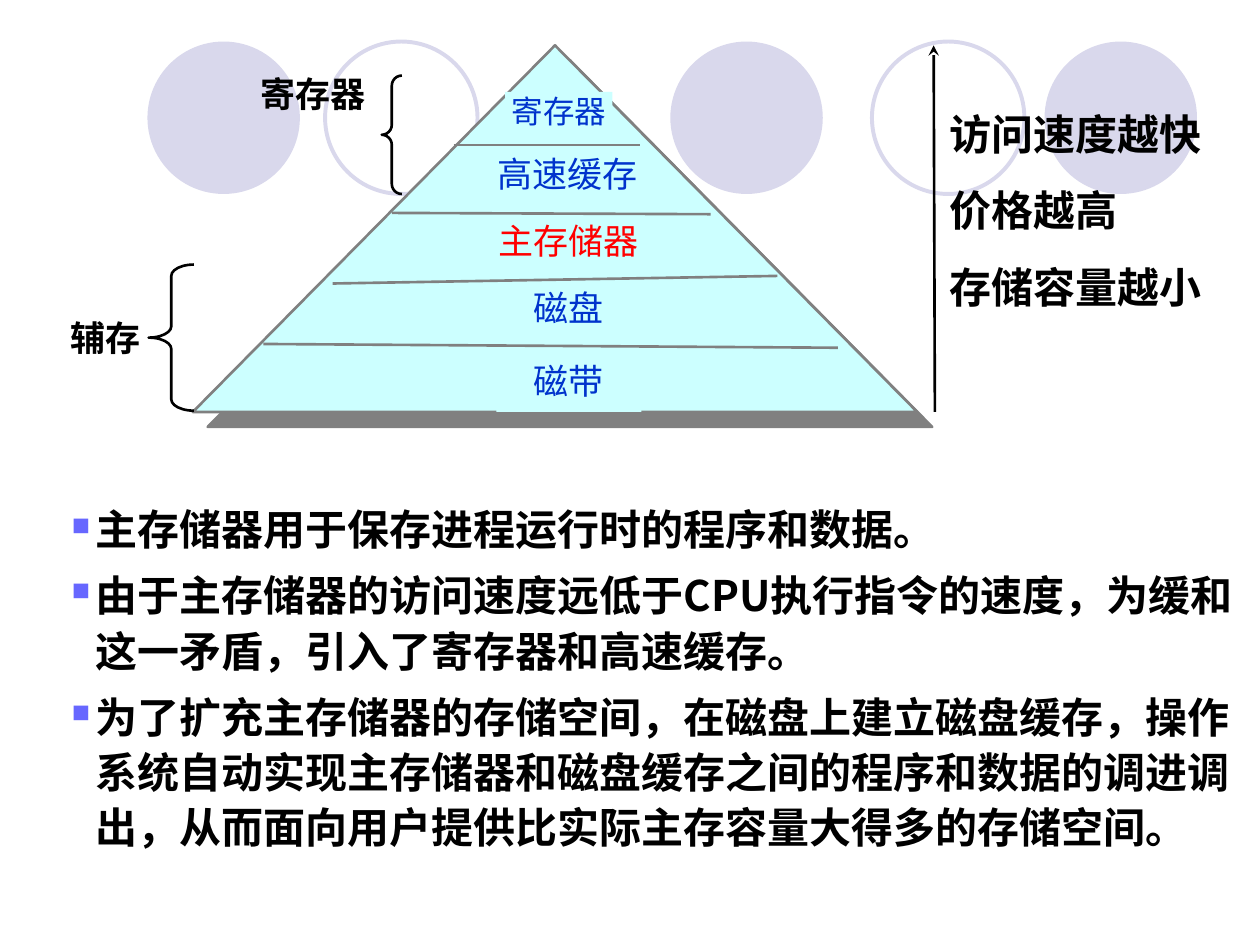
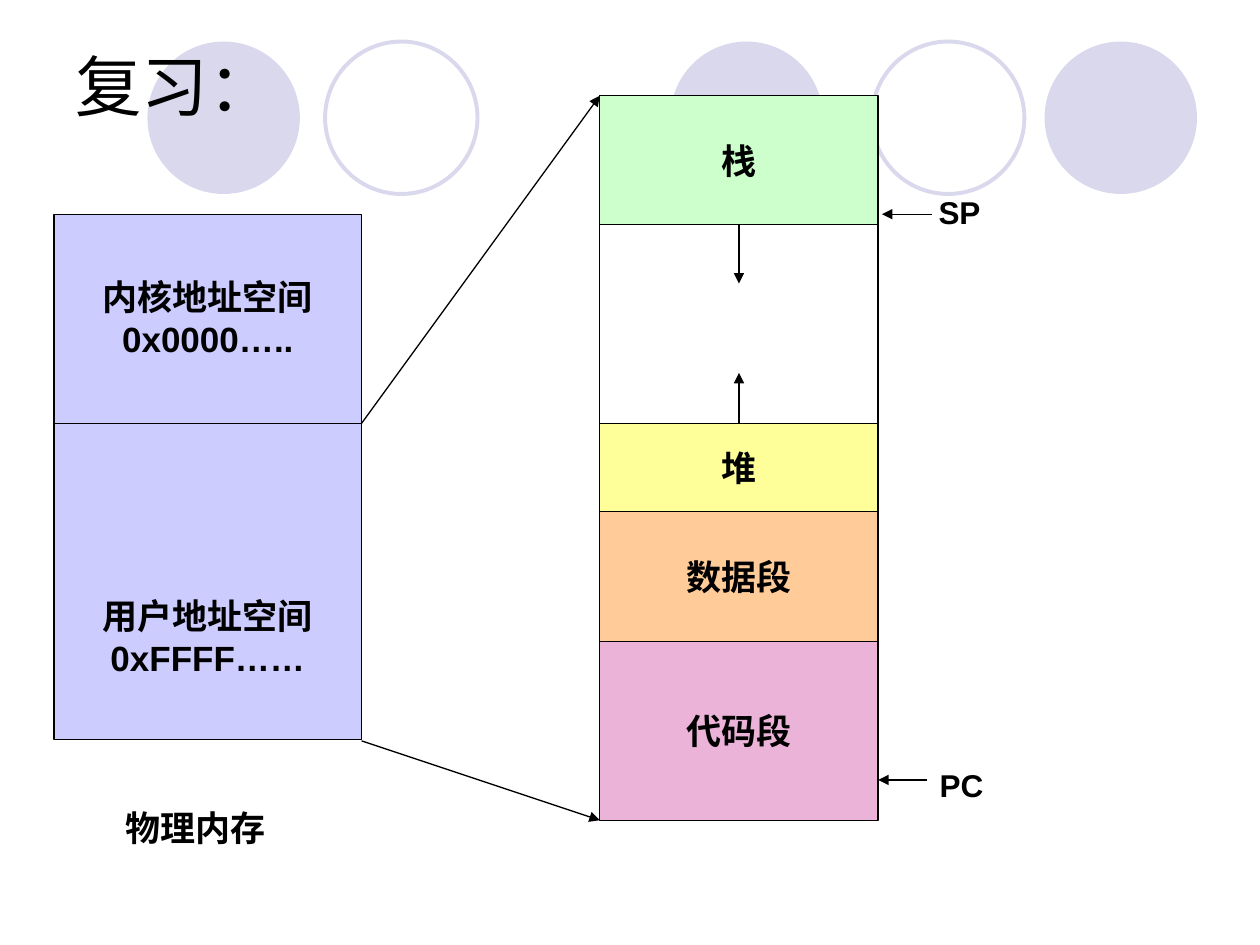
from lxml import etree
from pptx import Presentation
from pptx.dml.color import RGBColor
from pptx.enum.shapes import MSO_CONNECTOR, MSO_SHAPE
from pptx.enum.text import MSO_ANCHOR, PP_ALIGN
from pptx.oxml.ns import qn
from pptx.util import Inches, Pt

STRAIGHT = MSO_CONNECTOR.STRAIGHT
OVAL, RECTANGLE = MSO_SHAPE.OVAL, MSO_SHAPE.RECTANGLE
TRIANGLE, BRACE = MSO_SHAPE.ISOSCELES_TRIANGLE, MSO_SHAPE.LEFT_BRACE
TOP, MIDDLE = MSO_ANCHOR.TOP, MSO_ANCHOR.MIDDLE
LEFT, CENTER = PP_ALIGN.LEFT, PP_ALIGN.CENTER

COLORS = {
    "black": "000000", "white": "FFFFFF", "circle": "D9D8EC",
    "pyramid": "CCFFFF", "gray": "808080", "label": "0033CC",
    "highlight": "FF0000", "bullet": "6767FF", "memory": "CCCCFF",
    "stack": "CCFFCC", "heap": "FFFF99", "data": "FFCC99", "code": "EBB3D8",
}
RGB = {name: RGBColor.from_string(value) for name, value in COLORS.items()}
CJK_FONT = "Noto Sans CJK SC"
LABEL_FONT = "Noto Sans CJK JP"

presentation = Presentation()
presentation.slide_width = Inches(10)
presentation.slide_height = Inches(7.5)
COLUMN = presentation.slide_width / 100
ROW = presentation.slide_height / 75


def add_box(slide, kind, left, top, width, height, fill=None, line=None, weight=0.75,
            lines=(), size=20, font="Arial", color="black", bold=True,
            align=LEFT, anchor=TOP, wrap=True, inset=True, before=0):
    place = [round(left * COLUMN), round(top * ROW), round(width * COLUMN), round(height * ROW)]
    if kind is None:
        shape = slide.shapes.add_textbox(*place)
    else:
        shape = slide.shapes.add_shape(kind, *place)
        shape.shadow.inherit = False
        if fill:
            shape.fill.solid()
            shape.fill.fore_color.rgb = RGB[fill]
        else:
            shape.fill.background()
        if line:
            shape.line.color.rgb = RGB[line]
            shape.line.width = Pt(weight)
        else:
            shape.line.fill.background()
    if lines:
        frame = shape.text_frame
        frame.word_wrap = wrap
        frame.vertical_anchor = anchor
        if not inset:
            frame.margin_left = frame.margin_right = frame.margin_top = frame.margin_bottom = 0
        frame.text = "\n".join(lines)
        for index, paragraph in enumerate(frame.paragraphs):
            paragraph.alignment = align
            if index and before:
                paragraph.space_before = Pt(before)
            for run in paragraph.runs:
                run.font.size = Pt(size)
                run.font.bold = bold
                run.font.name = font
                run.font.color.rgb = RGB[color]
                east_asian = etree.SubElement(run._r.get_or_add_rPr(), qn("a:ea"))
                east_asian.set("typeface", font if font == LABEL_FONT else CJK_FONT)
    return shape


def add_line(slide, x1, y1, x2, y2, color="black", weight=0.75, head=None):
    connector = slide.shapes.add_connector(
        STRAIGHT, round(x1 * COLUMN), round(y1 * ROW), round(x2 * COLUMN), round(y2 * ROW))
    connector.line.color.rgb = RGB[color]
    connector.line.width = Pt(weight)
    if head:
        etree.SubElement(connector.line._get_or_add_ln(), qn("a:tailEnd")).set("type", head)
    etree.SubElement(connector._element.spPr, qn("a:effectLst"))
    return connector


slides = []
for number in range(2):
    slide = presentation.slides.add_slide(presentation.slide_layouts[6])
    slide.background.fill.solid()
    slide.background.fill.fore_color.rgb = RGB["white"]
    for left, filled in [(11.7, True), (25.8, False), (53.2, True), (69.2, False), (82.9, True)]:
        add_box(slide, OVAL, left, 3.3, 12.1, 12.1, fill="circle" if filled else None,
                line=None if filled else "circle", weight=2.25)
    slides.append(slide)
hierarchy, review = slides

pyramid = add_box(hierarchy, TRIANGLE, 15.3, 3.6, 57.5, 29.1, "pyramid", "gray", 1.5)
effects = pyramid._element.spPr.find(qn("a:effectLst"))
shadow = etree.SubElement(effects, qn("a:outerShdw"), dist=str(Pt(12.1)), dir="2700000",
                          algn="ctr", rotWithShape="0")
etree.SubElement(shadow, qn("a:srgbClr"), val=COLORS["gray"])

levels = [
    ("寄存器", 40.1, 7.3, 8.5, 3, 18, "label", (36, 11.5, 50.8, 11.5)),
    ("高速缓存", 39.3, 12.1, 11.5, 3.1, 20, "label", (31.1, 16.9, 56.4, 17)),
    ("主存储器", 39.4, 17.4, 11.5, 4.3, 20, "highlight", (26.4, 22.5, 61.7, 21.9)),
    ("磁盘", 39.4, 22.7, 11.5, 4.2, 20, "label", (20.9, 27.3, 66.5, 27.6)),
    ("磁带", 39.4, 28.5, 11.5, 4.2, 20, "label", None),
]
for name, left, top, width, height, size, color, divider in levels:
    add_box(hierarchy, RECTANGLE, left, top, width, height, "pyramid", lines=[name], size=size,
            font=LABEL_FONT, color=color, bold=False, align=CENTER, inset=False)
    if divider:
        add_line(hierarchy, *divider, "gray", 1.5)
add_line(hierarchy, 17.7, 33.3, 72, 33.3, "gray", 1.5)

add_line(hierarchy, 74.2, 32.7, 74.1, 3.6, weight=1.5, head="stealth")
add_box(hierarchy, None, 74.4, 8.1, 22.8, 17.2, font="Arial Narrow", size=24, before=15,
        lines=["访问速度越快", "价格越高", "存储容量越小"])

notes = add_box(hierarchy, None, 4.7, 39.1, 95.3, 29.1, font=CJK_FONT, size=24, before=6, lines=[
    "主存储器用于保存进程运行时的程序和数据。",
    "由于主存储器的访问速度远低于CPU执行指令的速度，为缓和这一矛盾，引入了寄存器和高速缓存。",
    "为了扩充主存储器的存储空间，在磁盘上建立磁盘缓存，操作系统自动实现主存储器和磁盘缓存之间的"
    "程序和数据的调进调出，从而面向用户提供比实际主存容量大得多的存储空间。",
])
for paragraph in notes.text_frame.paragraphs:
    paragraph.line_spacing = 1.1
    properties = paragraph._p.get_or_add_pPr()
    properties.set("marL", str(Inches(0.19)))
    properties.set("indent", str(-Inches(0.19)))
    bullet_color = etree.SubElement(properties, qn("a:buClr"))
    etree.SubElement(bullet_color, qn("a:srgbClr"), val=COLORS["bullet"])
    etree.SubElement(properties, qn("a:buSzPct"), val="60000")
    etree.SubElement(properties, qn("a:buChar"), char="■")

braces = [
    ("寄存器", (19.7, 5.3, 13.6, 4.4), (30.3, 6, 1.6, 9.4), 0.5),
    ("辅存", (4.6, 24.6, 9.1, 4.4), (11.8, 21, 3.6, 11.6), 0.25),
]
for name, label_place, brace_place, curve in braces:
    add_box(hierarchy, None, *label_place, lines=[name], font="Arial Narrow")
    brace = add_box(hierarchy, BRACE, *brace_place, line="black", weight=1.5)
    brace.adjustments[0] = curve

memory = add_box(review, RECTANGLE, 4.3, 17, 24.4, 41.7, "memory", "black", align=CENTER,
                 anchor=MIDDLE, wrap=False,
                 lines=["内核地址空间", "0x0000…..", "用户地址空间", "0xFFFF……"])
memory.text_frame.paragraphs[2].space_before = Pt(134)
add_line(review, 4.3, 33.6, 28.7, 33.6)
add_line(review, 28.7, 33.6, 47.6, 7.6, head="triangle")
add_line(review, 28.7, 58.8, 47.6, 65.1, head="triangle")

segments = {}
top = 7.6
for fill, name, height in [("stack", "栈", 10.2), ("white", "", 15.8), ("heap", "堆", 7),
                           ("data", "数据段", 10.3), ("code", "代码段", 14.2)]:
    segments[fill] = add_box(review, RECTANGLE, 47.6, top, 22.1, height, fill, "black",
                             lines=[name] if name else [], align=CENTER, anchor=MIDDLE, wrap=False)
    top += height

stack_growth = add_line(review, 58.65, 17.8, 58.65, 22.5, head="triangle")
stack_growth.begin_connect(segments["stack"], 2)
heap_growth = add_line(review, 58.65, 33.6, 58.65, 29.6, head="triangle")
heap_growth.begin_connect(segments["heap"], 0)
add_line(review, 73.6, 61.9, 69.7, 61.9, head="triangle")
add_line(review, 74, 17, 70, 17, head="triangle")

for name, left, top, width, height, size in [("SP", 73.5, 14.8, 7.1, 4, 18),
                                             ("PC", 73.6, 60.3, 7.1, 4, 18),
                                             ("物理内存", 9, 63.5, 16.5, 4.4, 20)]:
    add_box(review, None, left, top, width, height, lines=[name], size=size)
add_box(review, None, 5, 4.2, 90, 5, lines=["复习："], size=38, bold=False, anchor=MIDDLE)

presentation.save("out.pptx")
